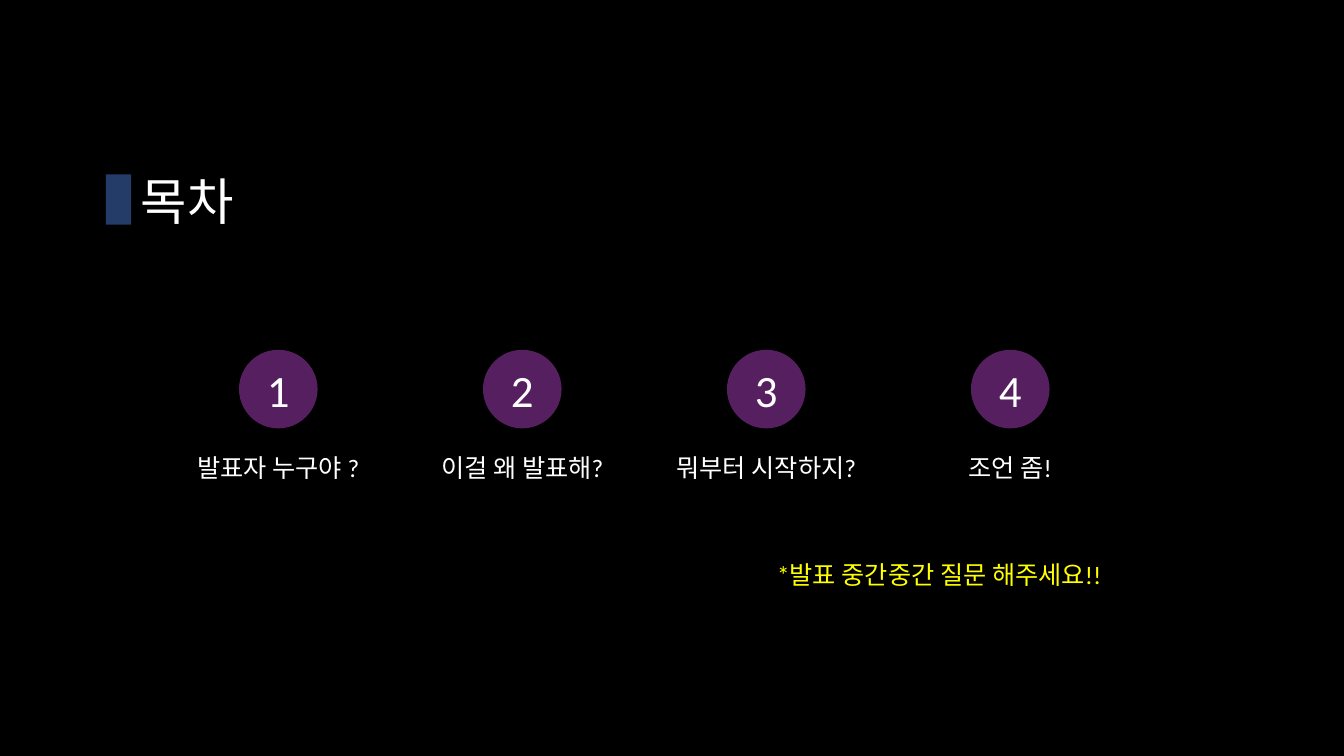
from lxml import etree
from pptx import Presentation
from pptx.dml.color import RGBColor
from pptx.enum.shapes import MSO_SHAPE
from pptx.enum.text import MSO_ANCHOR, PP_ALIGN
from pptx.oxml.ns import qn
from pptx.util import Inches, Pt

RECT, OVAL = MSO_SHAPE.RECTANGLE, MSO_SHAPE.OVAL
TOP, MIDDLE = MSO_ANCHOR.TOP, MSO_ANCHOR.MIDDLE
LEFT, CENTER = PP_ALIGN.LEFT, PP_ALIGN.CENTER

TITLE = "목차"
TOPICS = ["발표자 누구야 ?", "이걸 왜 발표해?", "뭐부터 시작하지?", "조언 좀!"]
NOTE = "*발표 중간중간 질문 해주세요!!"

THEME = {
    "font": "Calibri",
    "back": "000000", "text": "FFFFFF", "note": "FFFF00",
    "bar": "477BD1", "disc": "AC3EC1", "alpha": 50,
    "title_size": 36, "digit_size": 32, "body_size": 18,
}

# Topic columns, in inches
FIRST, STEP = 2.76, 2.42
DISC, DISC_TOP = 0.78, 3.47
LABEL, LABEL_TOP, LINE = 2.17, 4.44, 0.4


def write(shape, text, size, color="text", align=LEFT, anchor=TOP):
    frame = shape.text_frame
    frame.word_wrap = True
    frame.vertical_anchor = anchor
    para = frame.paragraphs[0]
    para.alignment = align
    run = para.add_run()
    run.text = text
    style = {"name": THEME["font"], "size": Pt(THEME[size])}
    for key, value in style.items():
        setattr(run.font, key, value)
    run.font.color.rgb = RGBColor.from_string(THEME[color])


def add_text(slide, box, text, size, **style):
    shape = slide.shapes.add_textbox(*map(Inches, box))
    write(shape, text, size, **style)


def add_glass(slide, kind, box, color):
    """Add a half-transparent shape without an outline."""
    shape = slide.shapes.add_shape(kind, *map(Inches, box))
    shape.shadow.inherit = False
    shape.line.fill.background()
    shape.fill.solid()
    shape.fill.fore_color.rgb = RGBColor.from_string(THEME[color])
    tone = shape.fill._xPr.find(qn("a:solidFill"))[0]
    etree.SubElement(tone, qn("a:alpha")).set("val", str(THEME["alpha"] * 1000))
    return shape


def main():
    deck = Presentation()
    deck.slide_width, deck.slide_height = Inches(13.33), Inches(7.5)
    slide = deck.slides.add_slide(deck.slide_layouts[6])
    back = slide.background.fill
    back.solid()
    back.fore_color.rgb = RGBColor.from_string(THEME["back"])

    add_text(slide, (1.3, 1.19, 10.97, 1.59), TITLE, "title_size", anchor=MIDDLE)
    add_glass(slide, RECT, (1.05, 1.73, 0.25, 0.5), "bar")

    for i, topic in enumerate(TOPICS):
        mid = FIRST + i * STEP
        disc = add_glass(slide, OVAL, (mid - DISC / 2, DISC_TOP, DISC, DISC), "disc")
        write(disc, str(i + 1), "digit_size", align=CENTER, anchor=MIDDLE)
        add_text(slide, (mid - LABEL / 2, LABEL_TOP, LABEL, LINE), topic,
                 "body_size", align=CENTER)

    add_text(slide, (7.61, 5.5, 3.86, LINE), NOTE, "body_size", color="note")
    deck.save("out.pptx")


if __name__ == "__main__":
    main()
